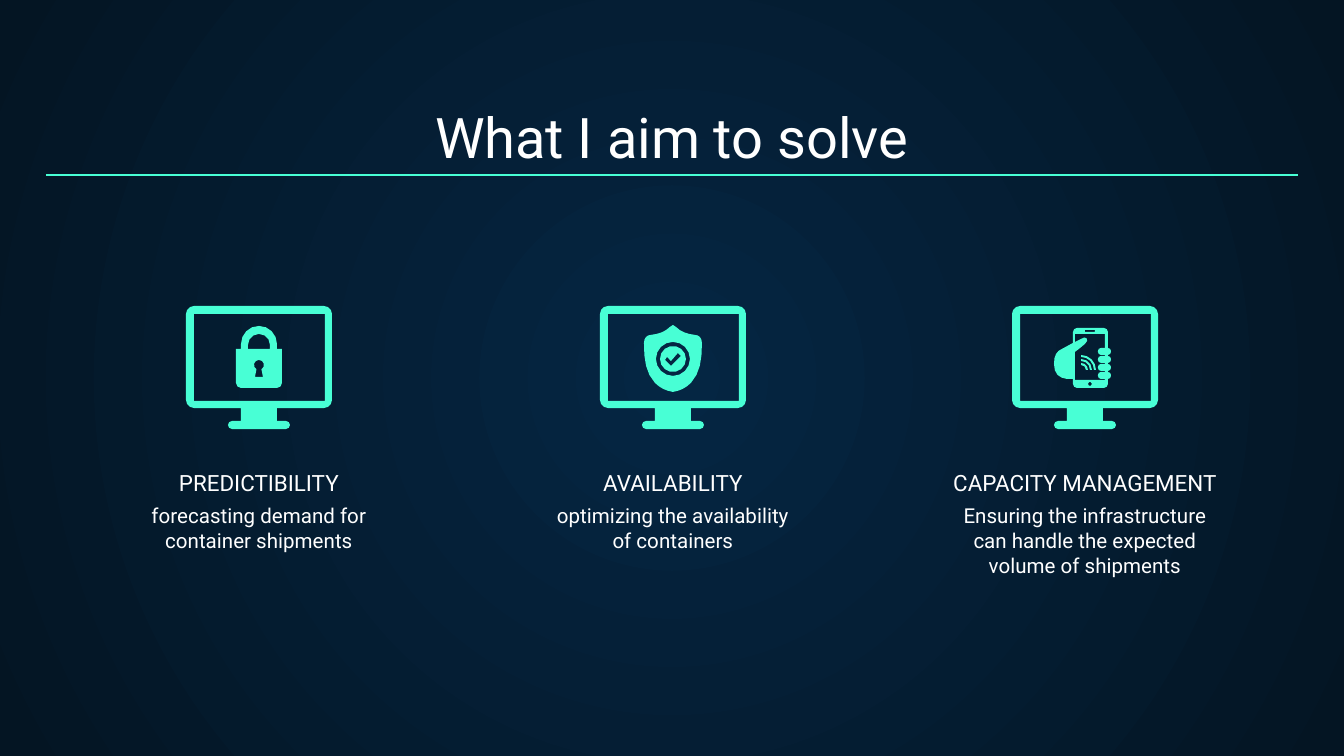
import dataclasses
import math
from typing import Callable

import lxml.etree
import pptx
import pptx.dml.color
import pptx.enum.shapes
import pptx.enum.text
import pptx.oxml
import pptx.oxml.ns
import pptx.util

EMU_PER_PX = 914400 / 134.4
FONT = "Roboto"
WHITE = "FFFFFF"
MINT = "48FFD5"
BACKGROUND_CENTER = "052643"
BACKGROUND_EDGE = "041523"

Point = tuple[float, float]
Contour = list[Point]


@dataclasses.dataclass(frozen=True)
class Goal:
    center: int
    heading: str
    description: str
    symbol: Callable[[], list[list[Contour]]]


def px(length: float) -> pptx.util.Emu:
    return pptx.util.Emu(round(length * EMU_PER_PX))


def color(value: str) -> pptx.dml.color.RGBColor:
    return pptx.dml.color.RGBColor.from_string(value)


def arc(x: float, y: float, radius: float, start: int, end: int) -> Contour:
    """Return points along an arc; angles run clockwise from the right."""
    steps = max(1, round(abs(end - start) / 90 * math.sqrt(radius)))
    angles = [math.radians(start + (end - start) * i / steps) for i in range(steps + 1)]
    return [(x + radius * math.cos(a), y + radius * math.sin(a)) for a in angles]


def curve(a: Point, b: Point, c: Point, d: Point) -> Contour:
    """Return points along the cubic Bezier curve from a to d, without d."""
    steps = 4
    points = []
    for i in range(steps):
        t = i / steps
        weights = ((1 - t) ** 3, 3 * t * (1 - t) ** 2, 3 * t * t * (1 - t), t**3)
        points.append(tuple(
            sum(w * p[axis] for w, p in zip(weights, (a, b, c, d))) for axis in (0, 1)
        ))
    return points


def mirrored(right_half: Contour) -> Contour:
    return right_half + [(-x, y) for x, y in reversed(right_half)]


def box(left: int, top: int, width: int, height: int) -> Contour:
    right, bottom = left + width, top + height
    return [(left, top), (right, top), (right, bottom), (left, bottom)]


def rounded_box(left: int, top: int, width: int, height: int, radius: int) -> Contour:
    inner = box(left + radius, top + radius, width - 2 * radius, height - 2 * radius)
    return [point for (x, y), start in zip(inner, (180, 270, 0, 90))
            for point in arc(x, y, radius, start, start + 90)]


def monitor() -> list[Contour]:
    outline = mirrored(
        arc(65, 314, 8, -90, 0) + arc(65, 400, 8, 0, 90)
        + [(18, 408), (18, 421)] + arc(27, 425, 4, -90, 90)
    )
    return [outline, box(-65, 314, 131, 87)]


def padlock() -> list[list[Contour]]:
    body = mirrored(arc(0, 344, 18, -90, 0) + [(18, 349), (23, 349)]
                    + arc(18, 383, 5, 0, 90))
    shackle_hole = mirrored(arc(0, 345, 11, -90, 0) + [(11, 349)])
    keyhole = mirrored(arc(0, 365, 5, -90, 60) + [(4, 377)])
    return [[body, shackle_hole, keyhole]]


def shield() -> list[list[Contour]]:
    outline = mirrored(
        [(0, 325), (3, 327)]
        + curve((3, 327), (8, 332), (14, 334), (22, 335))
        + curve((22, 335), (26, 335), (29, 338), (29, 343))
        + curve((29, 343), (29, 361), (27, 373), (18, 383))
        + curve((18, 383), (13, 388), (7, 391), (0, 392))
        + [(0, 392)]
    )
    check = [(5, 353), (8, 356), (-2, 366), (-8, 360), (-6, 357), (-2, 361)]
    return [[outline, arc(0, 359, 17, 0, 360)], [arc(0, 359, 13, 0, 360), check]]


def phone_in_hand() -> list[list[Contour]]:
    phone = [
        rounded_box(-12, 328, 35, 60, 4),
        box(-10, 334, 30, 46),
        box(0, 330, 10, 2),
        arc(5, 384, 2, 0, 360),
    ]
    hand = (
        [(-10, 379)]
        + curve((-18, 379), (-26, 378), (-31, 374), (-31, 364))
        + curve((-31, 364), (-31, 355), (-28, 351), (-23, 349))
        + [(-23, 349), (-12, 343)]
        + curve((-4, 339), (1, 335), (5, 340), (0, 344))
        + [(0, 344), (-6, 349), (-10, 352)]
    )
    fingers = [rounded_box(13, 348 + 8 * i, 13, 7, 3) for i in range(4)]
    waves = [arc(-4, 370, r, -90, 0) + arc(-4, 370, r - 2, 0, -90) for r in (7, 11, 15)]
    return [phone, [hand], fingers, waves]


GOALS = [
    Goal(259, "PREDICTIBILITY", "forecasting demand for container shipments", padlock),
    Goal(673, "AVAILABILITY", "optimizing the availability of containers", shield),
    Goal(1085, "CAPACITY MANAGEMENT",
         "Ensuring the infrastructure can handle the expected volume of shipments",
         phone_in_hand),
]


def draw_outline(slide, center: int, contours: list[Contour]) -> None:
    """Draw one filled freeform; a contour inside another is a hole."""
    contours = [[(px(center + x), px(y)) for x, y in contour] for contour in contours]
    builder = slide.shapes.build_freeform(*contours[0][0])
    builder.add_line_segments(contours[0][1:], close=True)
    for contour in contours[1:]:
        builder.move_to(*contour[0])
        builder.add_line_segments(contour[1:], close=True)
    shape = builder.convert_to_shape()
    shape.shadow.inherit = False
    shape.fill.solid()
    shape.fill.fore_color.rgb = color(MINT)
    shape.line.fill.background()


def format_text(shape, text: str, size: int, anchor) -> None:
    frame = shape.text_frame
    frame.text = text
    frame.word_wrap = True
    frame.auto_size = pptx.enum.text.MSO_AUTO_SIZE.NONE
    frame.vertical_anchor = anchor
    frame.margin_left = frame.margin_right = pptx.util.Inches(0.1)
    frame.margin_top = frame.margin_bottom = pptx.util.Inches(0.1)
    paragraph = frame.paragraphs[0]
    paragraph.alignment = pptx.enum.text.PP_ALIGN.CENTER
    font = paragraph.runs[0].font
    font.name = FONT
    font.size = pptx.util.Pt(size)
    font.color.rgb = color(WHITE)


def draw_goal(slide, goal: Goal) -> None:
    anchors = pptx.enum.text.MSO_ANCHOR
    for text, top, width, height, size, anchor in (
        (goal.description, 490, 278, 74, 11, anchors.TOP),
        (goal.heading, 481, 306, 28, 12, anchors.BOTTOM),
    ):
        caption = slide.shapes.add_textbox(
            px(goal.center - width // 2), px(top), px(width), px(height))
        format_text(caption, text, size, anchor)
    for contours in [monitor(), *goal.symbol()]:
        draw_outline(slide, goal.center, contours)


def set_background(slide) -> None:
    fill = slide.background.fill
    fill.gradient()
    for stop, value in zip(fill.gradient_stops, (BACKGROUND_CENTER, BACKGROUND_EDGE)):
        stop.color.rgb = color(value)
    namespace = pptx.oxml.ns.nsdecls("a")
    circle = pptx.oxml.parse_xml(
        f'<a:path {namespace} path="circle">'
        '<a:fillToRect l="50000" t="50000" r="50000" b="50000"/></a:path>')
    linear = slide.element.find(".//" + pptx.oxml.ns.qn("a:lin"))
    linear.getparent().replace(linear, circle)


def draw_title(slide, text: str) -> None:
    title = slide.shapes.title
    title.left, title.top, title.width, title.height = px(46), px(94), px(1252), px(89)
    format_text(title, text, 30, pptx.enum.text.MSO_ANCHOR.BOTTOM)
    rule = slide.shapes.add_connector(
        pptx.enum.shapes.MSO_CONNECTOR.STRAIGHT, px(46), px(175), px(1298), px(175))
    rule.line.color.rgb = color(MINT)
    rule.line.width = pptx.util.Pt(0.75)
    lxml.etree.SubElement(rule._element.spPr, pptx.oxml.ns.qn("a:effectLst"))


def main() -> None:
    presentation = pptx.Presentation()
    presentation.slide_width, presentation.slide_height = px(1344), px(756)
    slide = presentation.slides.add_slide(presentation.slide_layouts[5])
    set_background(slide)
    draw_title(slide, "What I aim to solve")
    for goal in GOALS:
        draw_goal(slide, goal)
    presentation.save("out.pptx")


if __name__ == "__main__":
    main()
